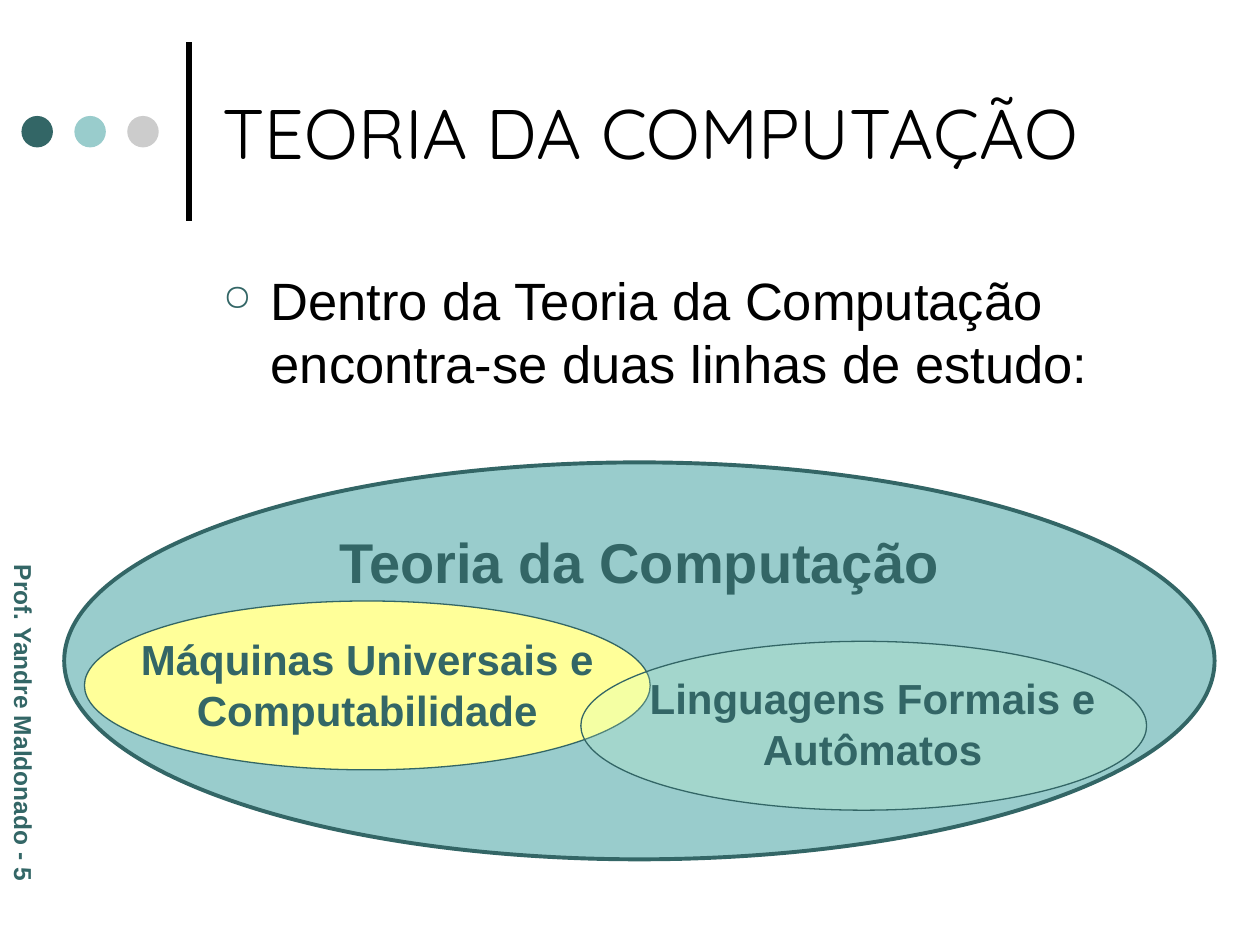
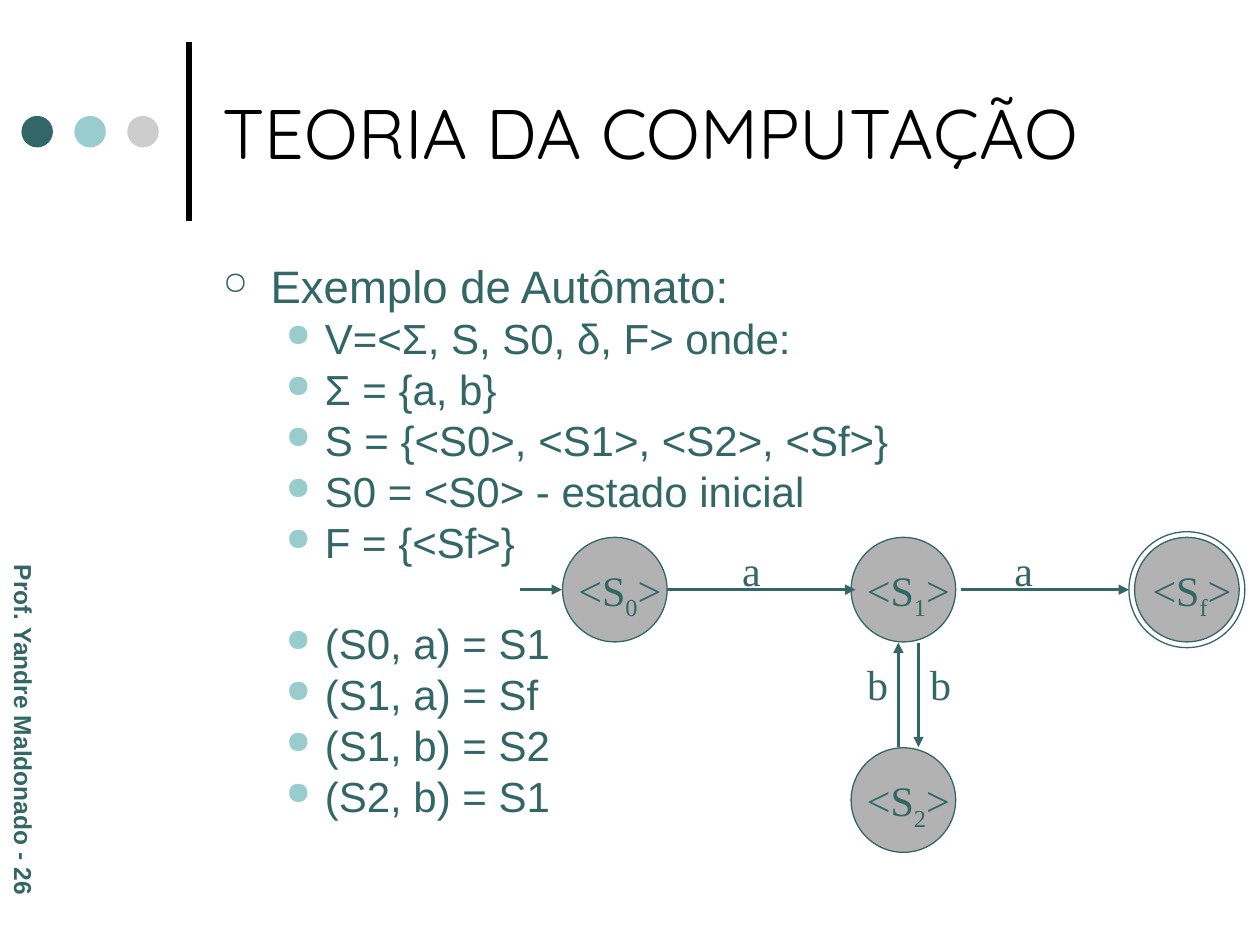
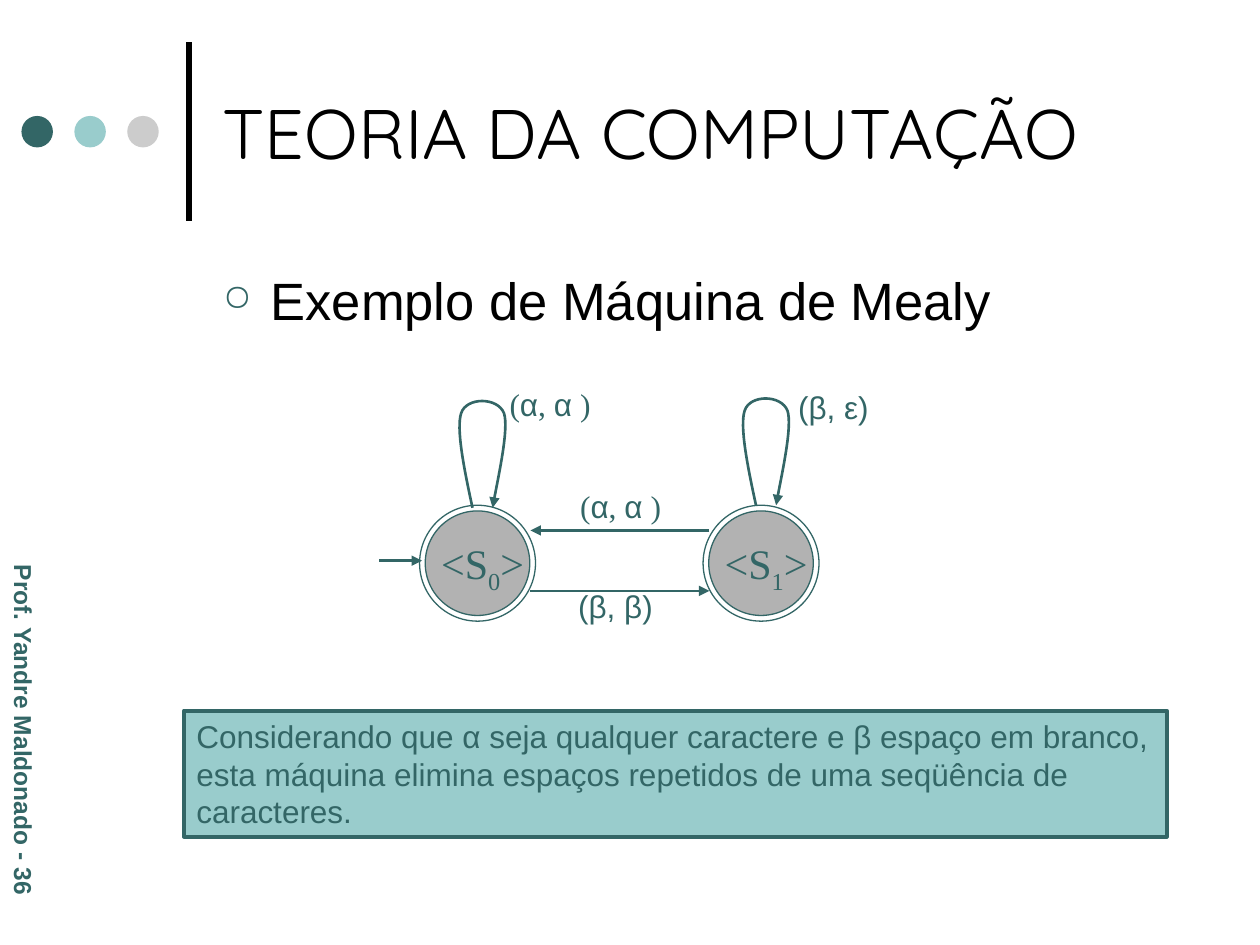
"""Build three slides on the theory of computation."""
import dataclasses

import lxml.etree
import pptx
import pptx.dml.color
import pptx.enum.shapes
import pptx.enum.text
import pptx.oxml.ns
import pptx.util

Inches = pptx.util.Inches
Pt = pptx.util.Pt
qn = pptx.oxml.ns.qn
OVAL = pptx.enum.shapes.MSO_SHAPE.OVAL
RECTANGLE = pptx.enum.shapes.MSO_SHAPE.RECTANGLE


@dataclasses.dataclass(frozen=True)
class Theme:
    dark: str = "336666"
    teal: str = "99CCCC"
    light_gray: str = "CCCCCC"
    state_gray: str = "B2B2B2"
    yellow: str = "FFFF99"
    mint: str = "CCFFCC"
    black: str = "000000"
    sans: str = "Arial"
    serif: str = "Times New Roman"
    display: str = "Quicksand"
    title: int = 40
    heading: int = 32
    body: int = 30
    compact: int = 26
    label: int = 24
    note: int = 18
    footer: int = 14
    thin: float = 0.75
    medium: float = 1.5
    thick: float = 2.25
    rule: float = 3


class Deck:
    def __init__(self, theme):
        self.theme = theme
        self.prs = pptx.Presentation()
        self.prs.slide_width, self.prs.slide_height = Inches(10), Inches(7.5)
        self.s = None

    def rgb(self, color):
        return pptx.dml.color.RGBColor.from_string(color)

    def new_slide(self, number):
        t = self.theme
        self.s = self.prs.slides.add_slide(self.prs.slide_layouts[6])
        self.line((1.5, 1.75), (1.5, 0.33), t.black, t.rule, arrow=False)
        for i, color in enumerate((t.dark, t.teal, t.light_gray)):
            self.shape((0.17 + 0.42 * i, 0.92, 0.25, 0.25), color)
        title = self.text((1.67, 0.21, 7.67, 1.67), "TEORIA DA COMPUTAÇÃO", t.title,
                          t.display, t.black, grow=False)
        title.text_frame.vertical_anchor = pptx.enum.text.MSO_ANCHOR.MIDDLE
        footer = self.text((-1.35, 5.75, 3.07, 0.34), f"Prof. Yandre Maldonado - {number}",
                           t.footer, bold=True)
        footer.rotation = 90

    def shape(self, box, fill=None, width=None, kind=OVAL, opacity=None):
        sp = self.s.shapes.add_shape(kind, *map(Inches, box))
        sp.shadow.inherit = False
        if fill:
            sp.fill.solid()
            sp.fill.fore_color.rgb = self.rgb(fill)
        else:
            sp.fill.background()
        if opacity:
            color = sp._element.spPr.find(qn("a:solidFill"))[0]
            lxml.etree.SubElement(color, qn("a:alpha"), val=str(opacity * 1000))
        if width:
            self.stroke(sp, self.theme.dark, width)
        else:
            sp.line.fill.background()
        return sp

    def stroke(self, sp, color, width, arrow=False):
        sp.line.color.rgb = self.rgb(color)
        sp.line.width = Pt(width)
        if arrow:
            ln = sp._element.spPr.find(qn("a:ln"))
            lxml.etree.SubElement(ln, qn("a:tailEnd"), type="triangle")

    def line(self, start, end, color=None, width=None, arrow=True):
        straight = pptx.enum.shapes.MSO_CONNECTOR.STRAIGHT
        c = self.s.shapes.add_connector(straight, *map(Inches, (*start, *end)))
        self.stroke(c, color or self.theme.dark, width or self.theme.medium, arrow)
        lxml.etree.SubElement(c._element.spPr, qn("a:effectLst"))

    def run(self, p, text, size, font, color, bold=False, baseline=0):
        r = p.add_run()
        r.text = text
        r.font.size, r.font.name, r.font.bold = Pt(size), font, bold
        r.font.color.rgb = self.rgb(color)
        if baseline:
            r._r.get_or_add_rPr().set("baseline", str(baseline * 1000))

    def fill_text(self, sp, runs, size, font=None, color=None, bold=False, center=False,
                  before=0, grow=True):
        """Fill a shape with one paragraph; runs is a string or (text, font, baseline) tuples."""
        font, color = font or self.theme.sans, color or self.theme.dark
        tf = sp.text_frame
        tf.word_wrap = True
        tf.vertical_anchor = pptx.enum.text.MSO_ANCHOR.TOP
        if grow:
            tf.auto_size = pptx.enum.text.MSO_AUTO_SIZE.SHAPE_TO_FIT_TEXT
        p = tf.paragraphs[0]
        align = pptx.enum.text.PP_ALIGN
        p.alignment = align.CENTER if center else align.LEFT
        p.space_before = Pt(before)
        for text, face, baseline in [(runs, font, 0)] if isinstance(runs, str) else runs:
            self.run(p, text, size, face, color, bold, baseline)
        return sp

    def text(self, box, runs, size, *args, **style):
        sp = self.s.shapes.add_textbox(*map(Inches, box))
        return self.fill_text(sp, runs, size, *args, **style)

    def bullets(self, head, items=(), size=None, color=None, spacing=None, gaps=None):
        """Add a heading bullet and its items; gaps maps an item to its space before."""
        t = self.theme
        size, color = size or t.body, color or t.black
        tf = self.s.shapes.add_textbox(*map(Inches, (1.67, 2.08, 7.67, 4.5))).text_frame
        tf.word_wrap = True
        rows = [(head, size, 0, size / 4, 0.38, 0.38, "○", t.dark, 70)]
        rows += [(item, t.label, 1, (gaps or {}).get(item, 6), 0.81, 0.31, "●", t.teal, 75)
                 for item in items]
        for i, (text, pts, level, before, left, hang, char, tint, scale) in enumerate(rows):
            p = tf.add_paragraph() if i else tf.paragraphs[0]
            p.level, p.space_before = level, Pt(before)
            if spacing:
                p.line_spacing = spacing
            pPr = p._p.get_or_add_pPr()
            pPr.set("marL", str(Inches(left)))
            pPr.set("indent", str(-Inches(hang)))
            clr = lxml.etree.SubElement(pPr, qn("a:buClr"))
            lxml.etree.SubElement(clr, qn("a:srgbClr"), val=tint)
            lxml.etree.SubElement(pPr, qn("a:buSzPct"), val=str(scale * 1000))
            lxml.etree.SubElement(pPr, qn("a:buChar"), char=char)
            self.run(p, text, pts, t.sans, color)

    def state(self, cx, cy, index, final=False):
        t = self.theme
        self.disc(cx, cy, 0.83, t.state_gray)
        if final:
            self.disc(cx, cy, 0.92)
        runs = [("<S", t.serif, 0), (index, t.serif, -25), (">", t.serif, 0)]
        self.text((cx - 0.46, cy - 0.25, 1, 0.56), runs, t.label, center=True, before=15)

    def disc(self, cx, cy, size, fill=None):
        self.shape((cx - size / 2, cy - size / 2, size, size), fill, self.theme.thin)

    def symbol(self, x, y, text):
        self.text((x, y, 0.67, 0.5), text, self.theme.label, self.theme.serif,
                  center=True, before=15)

    def pair(self, x, y, width, runs):
        self.text((x, y, width, 0.4), runs, self.theme.note, center=True, before=11.2)

    def loop(self, x, y):
        """Draw a curved arrow that leaves (x, y) upward and returns beside it."""
        offsets = ((-0.07, -0.32), (-0.13, -0.63), (-0.09, -0.75),
                   (-0.05, -0.88), (0.2, -0.88), (0.25, -0.75),
                   (0.29, -0.63), (0.18, -0.13), (0.16, 0))
        builder = self.s.shapes.build_freeform(Inches(x), Inches(y))
        builder.add_line_segments([(Inches(x + dx), Inches(y + dy)) for dx, dy in offsets],
                                  close=False)
        sp = builder.convert_to_shape()
        segments = list(sp._element.iter(qn("a:lnTo")))
        for i in range(0, len(segments), 3):
            curve = lxml.etree.Element(qn("a:cubicBezTo"))
            segments[i].addprevious(curve)
            for segment in segments[i:i + 3]:
                curve.append(segment[0])
                segment.getparent().remove(segment)
        sp.shadow.inherit = False
        sp.fill.background()
        self.stroke(sp, self.theme.dark, self.theme.medium, arrow=True)


def study_lines(deck):
    t = deck.theme
    deck.new_slide(5)
    deck.bullets("Dentro da Teoria da Computação encontra-se duas linhas de estudo:")
    deck.shape((0.51, 3.67, 9.13, 3.15), t.teal, t.thick)
    deck.text((0.51, 4.14, 9.13, 0.64), "Teoria da Computação", t.heading, bold=True, center=True)
    fields = ((0.67, 4.77, 0.83, 4.98, t.yellow, None, "Máquinas Universais e Computabilidade"),
              (4.61, 5.09, 4.84, 5.29, t.mint, 20, "Linguagens Formais e Autômatos"))
    for x, y, text_x, text_y, fill, opacity, name in fields:
        deck.shape((x, y, 4.49, 1.34), fill, t.thin, opacity=opacity)
        deck.text((text_x, text_y, 4.17, 0.9), name, t.label, bold=True, center=True)


def automaton(deck):
    t = deck.theme
    deck.new_slide(26)
    items = ("V=<Σ, S, S0, δ, F> onde:", "Σ = {a, b}", "S = {<S0>, <S1>, <S2>, <Sf>}",
             "S0 = <S0> - estado inicial", "F = {<Sf>}",
             "(S0, a) = S1", "(S1, a) = Sf", "(S1, b) = S2", "(S2, b) = S1")
    deck.bullets("Exemplo de Autômato:", items, t.compact, t.dark, 0.8, {"(S0, a) = S1": 35})
    for cx, cy, index in ((4.88, 4.68, "0"), (7.17, 4.68, "1"), (7.17, 6.35, "2"),
                          (9.42, 4.68, "f")):
        deck.state(cx, cy, index, final=index == "f")
    for x1, x2 in ((4.13, 4.46), (5.29, 6.79), (7.63, 8.96)):
        deck.line((x1, 4.68), (x2, 4.68))
    deck.line((7.29, 5.1), (7.29, 5.93))
    deck.line((7.13, 5.93), (7.13, 5.1))
    for x, y, text in ((6.63, 5.18, "b"), (7.13, 5.18, "b"), (5.63, 4.27, "a"), (7.79, 4.27, "a")):
        deck.symbol(x, y, text)


def mealy_machine(deck):
    t = deck.theme
    deck.new_slide(36)
    deck.bullets("Exemplo de Máquina de Mealy")
    deck.state(3.79, 4.47, "0", final=True)
    deck.state(6.04, 4.47, "1", final=True)
    deck.line((3.01, 4.45), (3.35, 4.45))
    deck.line((4.21, 4.69), (5.63, 4.69))
    deck.line((5.63, 4.21), (4.21, 4.21))
    deck.loop(3.75, 4.03)
    deck.loop(6, 4.01)
    alphas = [("(", t.serif, 0), ("α", t.sans, 0), (", ", t.serif, 0),
              ("α", t.sans, 0), (" )", t.serif, 0)]
    for x, y, width, runs in ((3.74, 3.01, 1.25, alphas), (4.3, 3.82, 1.25, alphas),
                              (4.45, 4.61, 0.87, "(β, β)"), (6.18, 3.03, 0.87, "(β, ε)")):
        deck.pair(x, y, width, runs)
    note = deck.shape((1.46, 5.64, 7.8, 1), t.teal, t.thick, RECTANGLE)
    deck.fill_text(note, "Considerando que α seja qualquer caractere e β espaço em branco, esta "
                   "máquina elimina espaços repetidos de uma seqüência de caracteres.", t.note)


def main():
    deck = Deck(Theme())
    study_lines(deck)
    automaton(deck)
    mealy_machine(deck)
    deck.prs.save("out.pptx")


if __name__ == "__main__":
    main()
